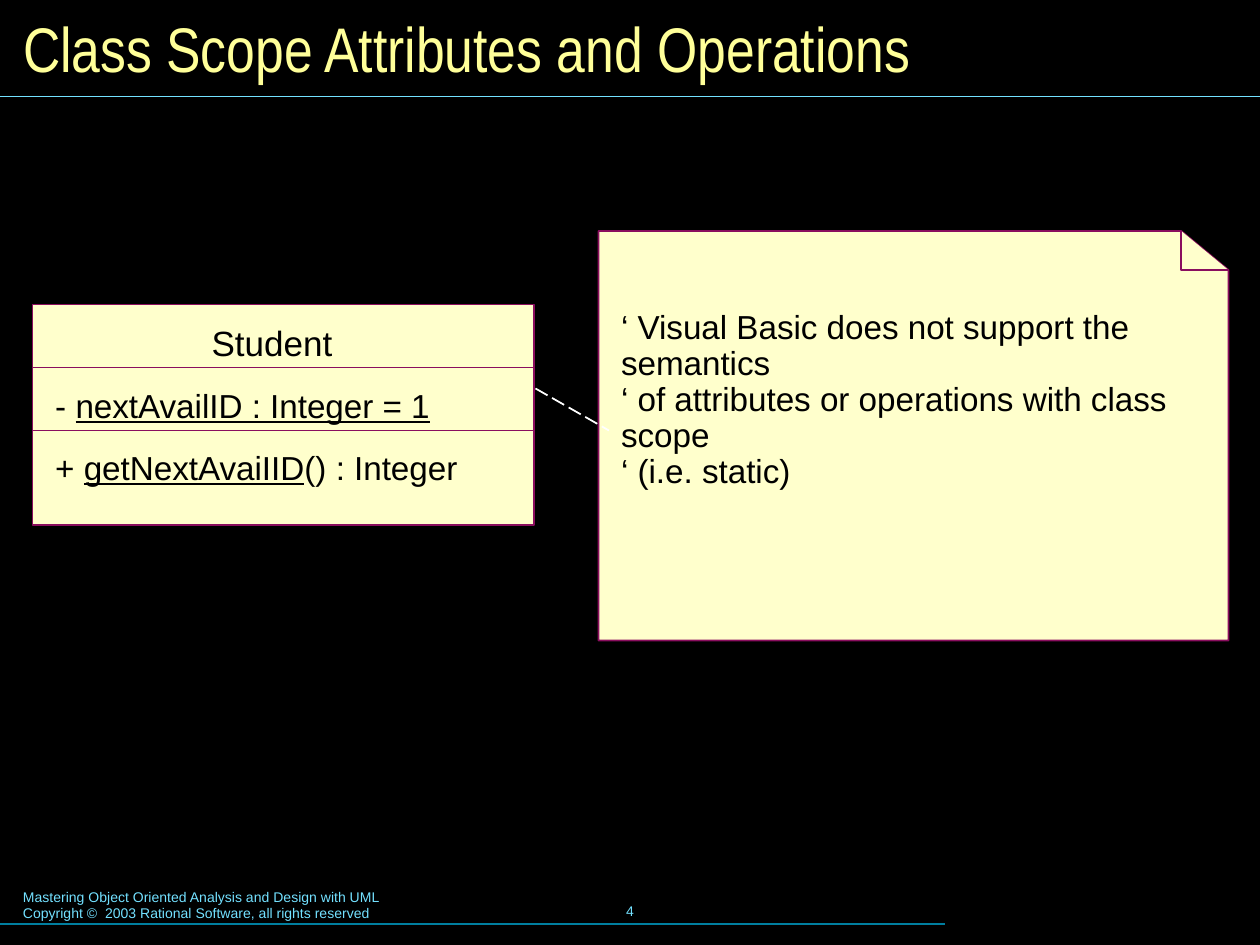
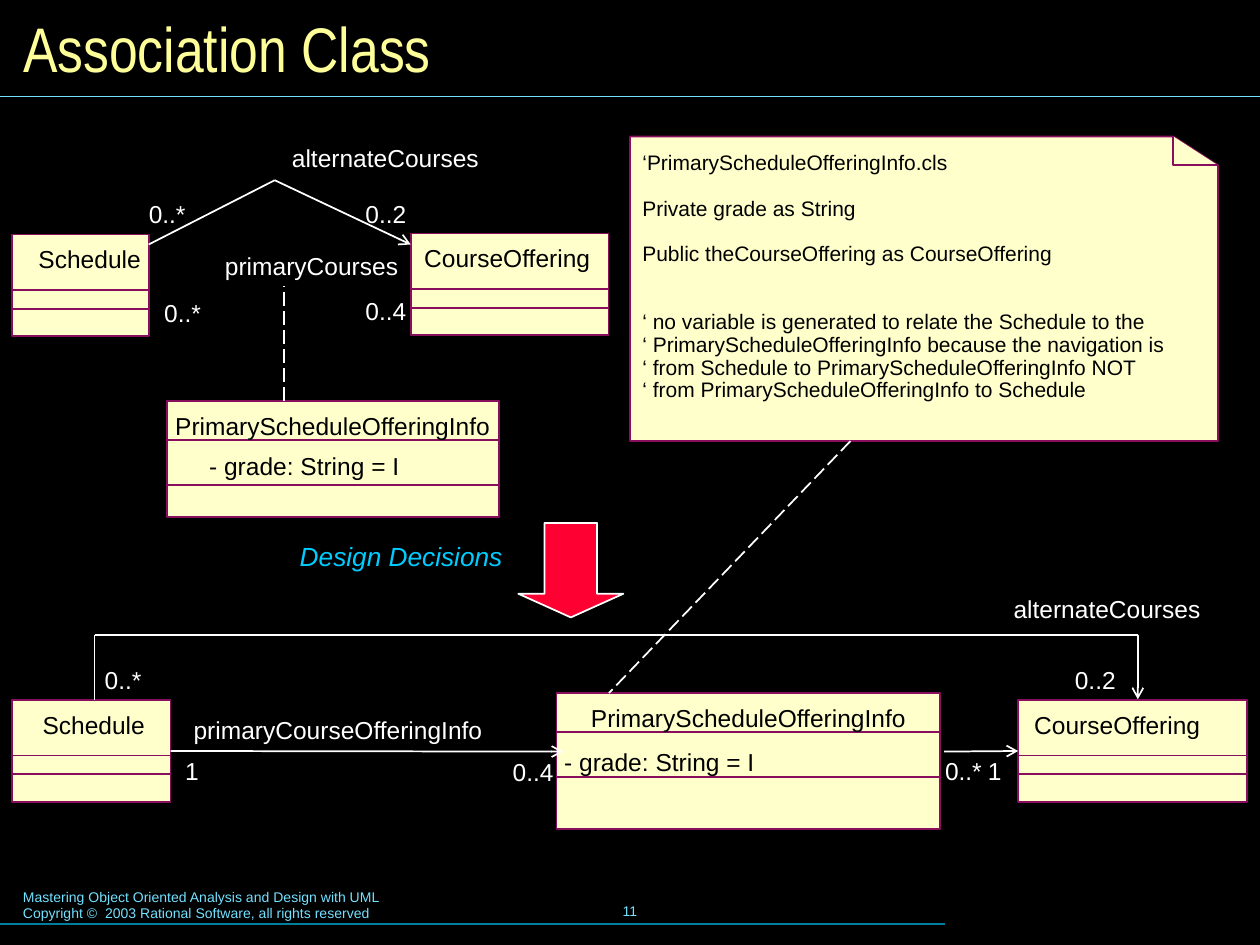
from lxml import etree
from pptx import Presentation
from pptx import util as u
from pptx.dml.color import RGBColor
from pptx.enum import dml, shapes, text
from pptx.oxml import ns

Pt = u.Pt
LEFT, CENTER, RIGHT = text.PP_ALIGN.LEFT, text.PP_ALIGN.CENTER, text.PP_ALIGN.RIGHT

COLOURS = {
    "background": "000000", "title": "FFFF99", "rule": "73E1FF",
    "footer_rule": "007E9F", "box": "FFFFCC", "box_line": "8A0E5E",
    "ink": "000000", "white": "FFFFFF", "arrow": "FF0033", "accent": "00CCFF",
}
FOOTER = ("Mastering Object Oriented Analysis and Design with UML\n"
          "Copyright ©  2003 Rational Software, all rights reserved")
LABEL_HEIGHT = 16.6


def rgb(name):
    return RGBColor.from_string(COLOURS[name])


class Deck:
    def __init__(self):
        self.prs = Presentation()
        self.prs.slide_width, self.prs.slide_height = Pt(720), Pt(540)
        background = self.prs.slide_master.background.fill
        background.solid()
        background.fore_color.rgb = rgb("background")
        self.slide = None

    def new_slide(self, title, number):
        """Title, rules and footer shared by every slide."""
        self.slide = self.prs.slides.add_slide(self.prs.slide_layouts[5])
        heading = self.slide.shapes.title
        heading.left, heading.top, heading.width, heading.height = map(Pt, (6, 6, 708, 42))
        frame = heading.text_frame
        frame.text = title
        frame.auto_size = text.MSO_AUTO_SIZE.NONE
        frame.vertical_anchor = text.MSO_ANCHOR.MIDDLE
        frame.paragraphs[0].alignment = LEFT
        font = frame.paragraphs[0].runs[0].font
        font.name, font.size, font.color.rgb = "Arial Narrow", Pt(36), rgb("title")

        self.line((0, 55), (720, 55), "rule", 0.75)
        self.line((0, 528), (540, 528), "footer_rule", 0.75)
        self.text(FOOTER, (6, 504, 367, 26.6), 8, "rule")
        page = self.text(str(number), (246, 502.5, 228, 36), 8, "rule", CENTER)
        page.text_frame.vertical_anchor = text.MSO_ANCHOR.MIDDLE

    def style(self, shape, fill="box", line="box_line"):
        shape.shadow.inherit = False
        shape.fill.solid()
        shape.fill.fore_color.rgb = rgb(fill)
        shape.line.color.rgb = rgb(line)
        shape.line.width = Pt(1)
        return shape

    def shape(self, kind, box, fill="box", line="box_line"):
        return self.style(self.slide.shapes.add_shape(kind, *map(Pt, box)), fill, line)

    def line(self, start, end, colour="white", width=1, dashed=False, arrow=False):
        connector = self.slide.shapes.add_connector(
            shapes.MSO_CONNECTOR.STRAIGHT, *map(Pt, (*start, *end)))
        connector.line.color.rgb = rgb(colour)
        connector.line.width = Pt(width)
        if dashed:
            connector.line.dash_style = dml.MSO_LINE.LONG_DASH
        if arrow:
            outline = connector.line._get_or_add_ln()
            etree.SubElement(outline, ns.qn("a:tailEnd"), type="arrow")
        etree.SubElement(connector._element.spPr, ns.qn("a:effectLst"))
        return connector

    def outline(self, points, close):
        (x, y), *rest = [(Pt(px), Pt(py)) for px, py in points]
        builder = self.slide.shapes.build_freeform(x, y)
        builder.add_line_segments(rest, close=close)
        return self.style(builder.convert_to_shape())

    def note(self, box, fold_width, fold_height):
        """Sheet with a folded top right corner."""
        left, top, width, height = box
        right, bottom = left + width, top + height
        fold_x, fold_y = right - fold_width, top + fold_height
        self.outline([(right, bottom), (left, bottom), (left, top),
                      (fold_x, top), (right, fold_y)], True)
        self.outline([(right, fold_y), (fold_x, fold_y), (fold_x, top)], False)

    def class_box(self, box, dividers):
        """UML class with divider lines at offsets from its top."""
        left, top, width, _ = box
        rectangle = self.shape(shapes.MSO_SHAPE.RECTANGLE, box)
        for offset in dividers:
            self.line((left, top + offset), (left + width, top + offset), "box_line")
        return rectangle

    def text(self, content, box, size=14, colour="white", align=LEFT, inset=True,
             spacing=None, gaps=None, underlined="", italic=False):
        """Text box; gaps maps a paragraph's index to its space before."""
        holder = self.slide.shapes.add_textbox(*map(Pt, box))
        frame = holder.text_frame
        frame.word_wrap = True
        frame.margin_left = frame.margin_right = Pt(7.2 if inset else 0)
        frame.margin_top = frame.margin_bottom = Pt(3.6 if inset else 0)
        if underlined:
            for part in filter(None, content.partition(underlined)):
                run = frame.paragraphs[0].add_run()
                run.text = part
                run.font.underline = part == underlined
        else:
            frame.text = content
        for index, paragraph in enumerate(frame.paragraphs):
            paragraph.alignment = align
            if spacing:
                paragraph.line_spacing = spacing
            if gaps and index in gaps:
                paragraph.space_before = Pt(gaps[index])
            for run in paragraph.runs:
                font = run.font
                font.name, font.size, font.italic = "Arial", Pt(size), italic
                font.color.rgb = rgb(colour)
        return holder

    def label(self, content, x, y, width, colour="white"):
        return self.text(content, (x, y, width, LABEL_HEIGHT), colour=colour, inset=False)


def class_scope_slide(deck):
    deck.new_slide("Class Scope Attributes and Operations", 4)

    # Note on the language
    deck.note((342, 132, 360, 234), 27, 22.3)
    deck.text("‘ Visual Basic does not support the semantics\n"
              "‘ of attributes or operations with class scope\n"
              "‘ (i.e. static)",
              (347.8, 174.2, 347.8, 129.6), 19, "ink", spacing=0.9)

    # Student class
    deck.class_box((18.5, 174, 286.5, 126), (36, 72))
    deck.text("Student", (113.8, 180, 90, 31), 20, "ink")
    deck.text("- nextAvailID : Integer = 1", (24.5, 216.7, 236, 30.2), 19, "ink",
              underlined="nextAvailID : Integer = 1")
    deck.text("+ getNextAvaiIID() : Integer", (24.5, 252, 252, 30.2), 19, "ink",
              underlined="getNextAvaiIID")
    deck.line((306, 222), (348, 246), dashed=True)


def association_class_slide(deck):
    deck.new_slide("Association Class", 11)

    # Note with the generated code
    deck.note((360, 78, 336, 174), 25.5, 16.5)
    deck.text("‘PrimaryScheduleOfferingInfo.cls\n"
              "Private grade as String\n"
              "Public theCourseOffering as CourseOffering\n"
              "‘ no variable is generated to relate the Schedule to the\n"
              "‘ PrimaryScheduleOfferingInfo because the navigation is\n"
              "‘ from Schedule to PrimaryScheduleOfferingInfo NOT\n"
              "‘ from PrimaryScheduleOfferingInfo to Schedule",
              (360, 83.8, 324, 149), 12, "ink", spacing=0.9,
              gaps={1: 13, 2: 13, 3: 26})

    # Classes before (top) and after (bottom): box, dividers, name, name left
    narrow, wide = (31.7, 42.5), (22.3, 48)
    schedule, offering, info = "Schedule", "CourseOffering", "PrimaryScheduleOfferingInfo"
    name_widths = {schedule: 62, offering: 99, info: 184}
    classes = [
        ((7, 134, 78, 58), narrow, schedule, 22),
        ((234.7, 133.5, 113, 58), narrow, offering, 242.4),
        ((95.5, 229.2, 189.5, 66.2), wide, info, 100.1),
        ((7, 400, 90.5, 58.3), narrow, schedule, 24.3),
        ((581.8, 400, 131, 58.3), narrow, offering, 591),
        ((318, 396, 219.3, 77.8), wide, info, 337.7),
    ]
    drawn = []
    for box, dividers, name, name_left in classes:
        drawn.append(deck.class_box(box, dividers))
        deck.label(name, name_left, box[1] + 5.6, name_widths[name], "ink")
    schedule_after, offering_after = drawn[3:5]
    for x, y in ((119.5, 257.8), (322.4, 427)):
        deck.label("- grade: String = I", x, y, 114, "ink")

    # Associations before
    deck.line((85, 139.7), (157, 103))
    deck.line((157, 103), (234.7, 139.7), arrow=True)
    deck.line((162.2, 229.2), (162.2, 163.4), dashed=True)

    # Associations after
    deck.line((486, 252), (348, 396), dashed=True)
    to_info = deck.line((97.5, 429.5), (321.8, 429.5), arrow=True)
    to_info.begin_connect(schedule_after, 3)
    to_offering = deck.line((539.5, 429.5), (581.8, 429.5), arrow=True)
    to_offering.end_connect(offering_after, 1)
    deck.line((54, 400), (54, 362.7))
    deck.line((54, 362.7), (650.2, 362.7))
    deck.line((650.2, 362.7), (650.2, 399.6), arrow=True)

    # Multiplicities
    count_widths = {"0..4": 27, "0..2": 27, "0..*": 24, "1": 11}
    for count, x, y in (("0..4", 208.8, 169.4), ("0..*", 93.8, 170.6),
                        ("0..2", 208.8, 113.8), ("0..*", 85, 113.8),
                        ("0..*", 540, 432), ("1", 564.5, 432), ("1", 105.8, 432),
                        ("0..4", 293, 432.7), ("0..2", 614.2, 380.2),
                        ("0..*", 59.8, 380.2)):
        deck.label(count, x, y, count_widths[count])

    # Role names
    for role, x, y, width in (("primaryCourses", 115.2, 139.7, 119.5),
                              ("alternateCourses", 128.2, 78, 152.6),
                              ("alternateCourses", 516.2, 336, 177),
                              ("primaryCourseOfferingInfo", 90.7, 404.8, 192.2)):
        deck.text(role, (x, y, width, 24.5), align=RIGHT)

    # Design step
    step = deck.shape(shapes.MSO_SHAPE.DOWN_ARROW, (296.2, 298.8, 60, 54), "arrow", "white")
    step.adjustments[1] = 0.25
    deck.text("Design Decisions", (164.2, 305, 144, 25.2), 15, "accent", italic=True)


def main():
    deck = Deck()
    class_scope_slide(deck)
    association_class_slide(deck)
    deck.prs.save("out.pptx")


if __name__ == "__main__":
    main()
